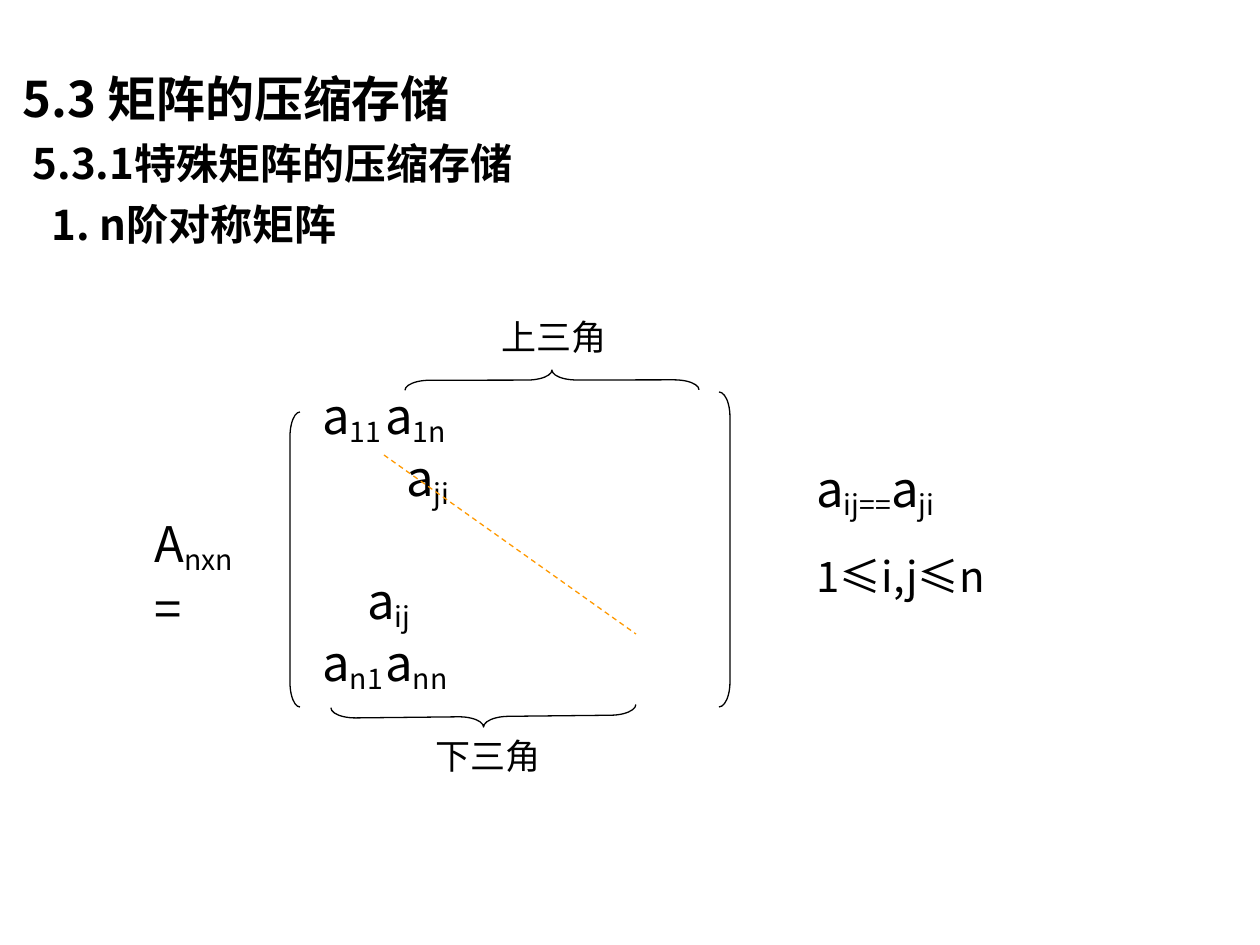
from lxml import etree
from pptx import Presentation
from pptx import util as u
from pptx.dml.color import RGBColor
from pptx.enum import dml, shapes, text
from pptx.oxml.ns import qn

PX_PER_INCH = 126
FONT = "Noto Sans CJK SC"
BLACK, ORANGE = "000000", "FF9900"
CURVE = 25  # length of the curved ends of brackets and braces


def px(n):
    return u.Emu(round(n * 914400 / PX_PER_INCH))


def color(hex_string):
    return RGBColor.from_string(hex_string)


def add_run(p, content, size, bold=False, sub=False):
    r = p.add_run()
    r.text = content
    for name, value in {"name": FONT, "size": u.Pt(size), "bold": bold}.items():
        setattr(r.font, name, value)
    r.font.color.rgb = color(BLACK)
    rPr = r._r.get_or_add_rPr()
    etree.SubElement(rPr, qn("a:ea"), typeface=FONT)
    if sub:
        rPr.set("baseline", "-16000")


def add_symbol(p, base, index, size=28):
    add_run(p, base, size)
    add_run(p, index, size, sub=True)


def format_paragraph(p, size, indent=0, before=0, lead=1.26, tab=None):
    pPr = p._p.get_or_add_pPr()
    pPr.set("marL", str(px(indent)))
    pPr.set("indent", "0")
    if tab:
        tabs = etree.SubElement(pPr, qn("a:tabLst"))
        etree.SubElement(tabs, qn("a:tab"), pos=str(px(tab)), algn="l")
    formats = {"alignment": text.PP_ALIGN.LEFT,
               "line_spacing": u.Pt(round(size * lead, 1)),
               "space_before": px(before)}
    for name, value in formats.items():
        setattr(p, name, value)


def next_paragraph(tf):
    first = tf.paragraphs[0]
    return tf.add_paragraph() if first.runs else first


def format_frame(tf, wrap=True):
    formats = {"word_wrap": wrap, "auto_size": text.MSO_AUTO_SIZE.NONE,
               "vertical_anchor": text.MSO_ANCHOR.TOP}
    for name, value in formats.items():
        setattr(tf, name, value)


def add_text_box(s, x, y, w, h, wrap=True):
    tf = s.shapes.add_textbox(px(x), px(y), px(w), px(h)).text_frame
    format_frame(tf, wrap)
    return tf


def add_headings(s):
    sp = s.shapes.title
    place = {"left": 10, "top": 59, "width": 561, "height": 224}
    for name, value in place.items():
        setattr(sp, name, px(value))
    tf = sp.text_frame
    format_frame(tf)
    headings = [("5.3 矩阵的压缩存储", 28, 0, 0),
                ("5.3.1特殊矩阵的压缩存储", 24, 10, 8),
                ("1. n阶对称矩阵", 24, 29, 8)]
    for content, size, indent, before in headings:
        p = next_paragraph(tf)
        format_paragraph(p, size, indent, before)
        add_run(p, content, size, bold=True)


def add_matrix(s):
    tf = add_text_box(s, 310, 380, 410, 321)
    # Each row: indent, space before, tab stop, indices of its elements
    rows = [(0, 0, 158, ["11", "1n"]),
            (84, 0, None, ["ji"]),
            (45, 62, None, ["ij"]),
            (0, 0, 173, ["n1", "nn"])]
    for indent, before, tab, indices in rows:
        p = next_paragraph(tf)
        format_paragraph(p, 28, indent, before, tab=tab)
        for i, index in enumerate(indices):
            add_symbol(p, "\ta" if i else "a", index)


def add_matrix_name(s):
    p = add_text_box(s, 142, 508, 126, 135).paragraphs[0]
    format_paragraph(p, 28)
    add_symbol(p, "A", "nxn")
    add_run(p, "=", 28)


def add_condition(s):
    tf = add_text_box(s, 804, 461, 233, 144)
    p = next_paragraph(tf)
    format_paragraph(p, 28, lead=1.1)
    add_symbol(p, "a", "ij==")
    add_symbol(p, "a", "ji")
    p = next_paragraph(tf)
    format_paragraph(p, 24, before=34, lead=1.1)
    add_run(p, "1≤i,j≤n", 24)


def add_label(s, content, x, y):
    p = add_text_box(s, x, y, 130, 55, wrap=False).paragraphs[0]
    format_paragraph(p, 20)
    add_run(p, content, 20)


def add_bracket(s, kind, x, y, w, h, rotation=0):
    sp = s.shapes.add_shape(kind, px(x), px(y), px(w), px(h))
    sp.adjustments[0] = round(CURVE / w, 2)
    sp.rotation = rotation
    sp.shadow.inherit = False
    sp.fill.background()
    sp.line.color.rgb = color(BLACK)
    sp.line.width = u.Pt(0.75)


def add_diagonal(s, x1, y1, x2, y2):
    line = s.shapes.add_connector(shapes.MSO_CONNECTOR.STRAIGHT,
                                  px(x1), px(y1), px(x2), px(y2))
    etree.SubElement(line._element.spPr, qn("a:effectLst"))
    line.line.color.rgb = color(ORANGE)
    line.line.width = u.Pt(0.75)
    line.line.dash_style = dml.MSO_LINE.DASH


def main():
    prs = Presentation()
    prs.slide_width, prs.slide_height = u.Inches(10), u.Inches(7.5)
    s = prs.slides.add_slide(prs.slide_layouts[5])
    kinds = shapes.MSO_SHAPE

    add_headings(s)

    # Matrix with its brackets and diagonal
    add_bracket(s, kinds.LEFT_BRACKET, 290, 412, 10, 295)
    add_bracket(s, kinds.RIGHT_BRACKET, 719, 392, 11, 315)
    add_matrix(s)
    add_matrix_name(s)
    add_diagonal(s, 384, 455, 636, 634)

    # Lower and upper triangle
    add_bracket(s, kinds.LEFT_BRACE, 473, 564, 21, 305, 269.4)
    add_bracket(s, kinds.RIGHT_BRACE, 542, 233, 20, 294, 269.9)
    add_label(s, "上三角", 489, 307)
    add_label(s, "下三角", 423, 726)

    add_condition(s)
    prs.save("out.pptx")


if __name__ == "__main__":
    main()
